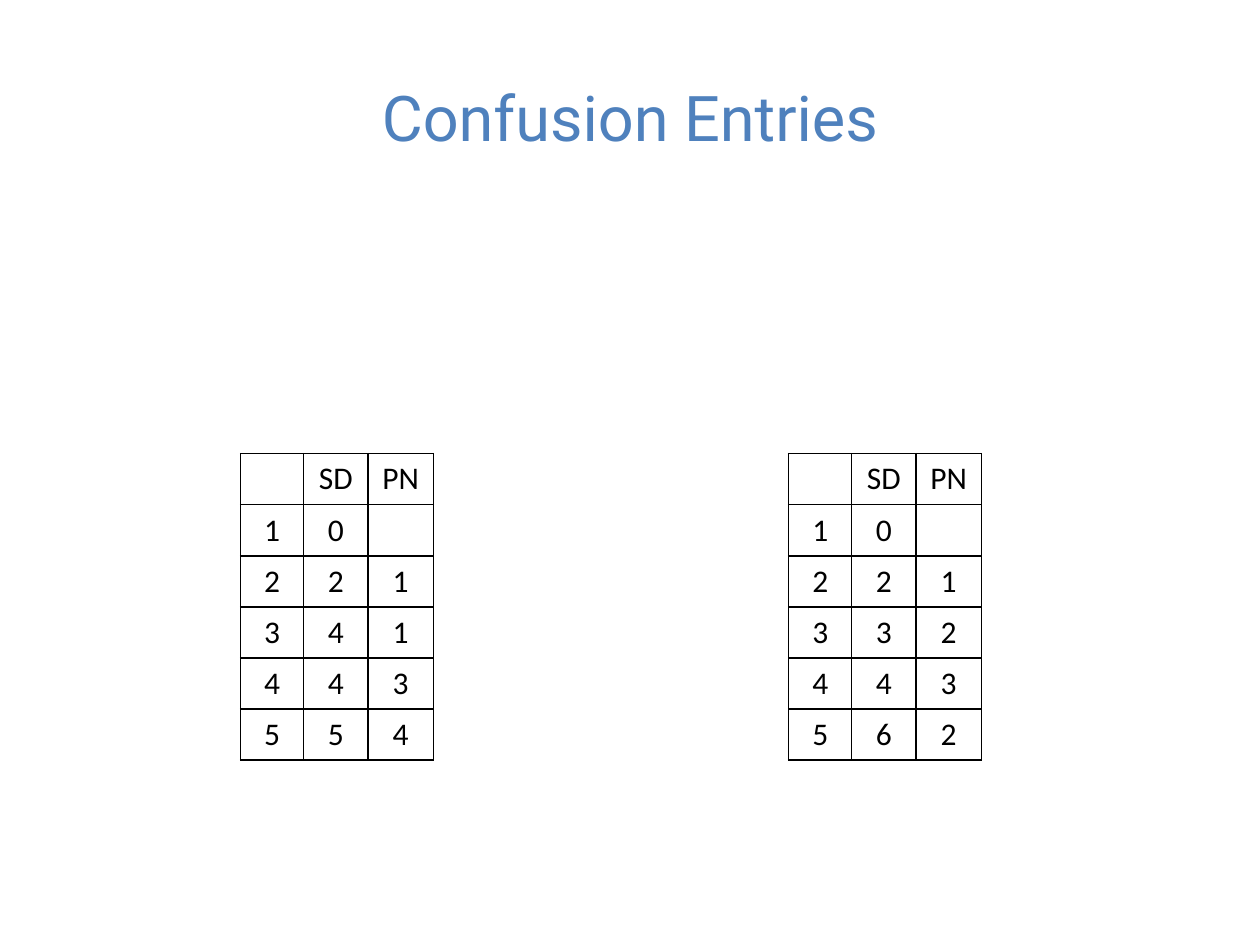
"""Build the Confusion Entries slide with two small count tables."""
from dataclasses import dataclass
from typing import Any

from lxml.etree import SubElement
from pptx import Presentation
from pptx.dml.color import RGBColor
from pptx.enum.text import MSO_ANCHOR, PP_ALIGN
from pptx.oxml.ns import qn
from pptx.util import Inches, Pt

BLACK = "000000"
TITLE_FORMAT = {"name": "Roboto", "size": Pt(36)}
CELL_FORMAT = {"name": "Calibri", "size": Pt(18), "bold": False}
COLUMN_WIDTHS = (0.5, 0.51, 0.52)
TABLE_TOP = 3.6
TABLE_HEIGHT = 2.43
HEADER = ("", "SD", "PN")


@dataclass(frozen=True)
class CountTable:
    left: float
    counts: tuple[tuple[str, str], ...]


COUNT_TABLES = (
    CountTable(1.91, (("0", ""), ("2", "1"), ("4", "1"), ("4", "3"), ("5", "4"))),
    CountTable(6.26, (("0", ""), ("2", "1"), ("3", "2"), ("4", "3"), ("6", "2"))),
)


def format_paragraph(paragraph: Any, font_format: dict[str, Any], color: str) -> None:
    paragraph.alignment = PP_ALIGN.CENTER
    for name, value in font_format.items():
        setattr(paragraph.font, name, value)
    paragraph.font.color.rgb = RGBColor.from_string(color)


def add_borders(cell: Any, color: str) -> None:
    properties = cell._tc.get_or_add_tcPr()
    for side in ("lnL", "lnR", "lnT", "lnB"):
        line = SubElement(properties, qn(f"a:{side}"), w=str(Pt(1)))
        fill = SubElement(line, qn("a:solidFill"))
        SubElement(fill, qn("a:srgbClr"), val=color)


def draw_title(slide: Any, text: str) -> None:
    title = slide.shapes.title
    title.left, title.top = Inches(0.5), Inches(0.3)
    title.width, title.height = Inches(9), Inches(1.25)
    title.text_frame.text = text
    title.text_frame.vertical_anchor = MSO_ANCHOR.MIDDLE
    format_paragraph(title.text_frame.paragraphs[0], TITLE_FORMAT, "4F81BD")


def draw_table(slide: Any, count_table: CountTable) -> None:
    numbered = [(str(number), *counts) for number, counts in enumerate(count_table.counts, 1)]
    rows = [HEADER, *numbered]
    table = slide.shapes.add_table(
        len(rows), len(HEADER), Inches(count_table.left), Inches(TABLE_TOP),
        Inches(sum(COLUMN_WIDTHS)), Inches(TABLE_HEIGHT),
    ).table
    table.first_row = table.horz_banding = False
    for column, width in zip(table.columns, COLUMN_WIDTHS):
        column.width = Inches(width)
    for row, texts in zip(table.rows, rows):
        for cell, text in zip(row.cells, texts):
            cell.text = text
            add_borders(cell, BLACK)
            cell.fill.background()
            format_paragraph(cell.text_frame.paragraphs[0], CELL_FORMAT, BLACK)


def main() -> None:
    presentation = Presentation()
    presentation.slide_width, presentation.slide_height = Inches(10), Inches(7.5)
    slide = presentation.slides.add_slide(presentation.slide_layouts[5])
    draw_title(slide, "Confusion Entries")
    for count_table in COUNT_TABLES:
        draw_table(slide, count_table)
    presentation.save("out.pptx")


if __name__ == "__main__":
    main()
